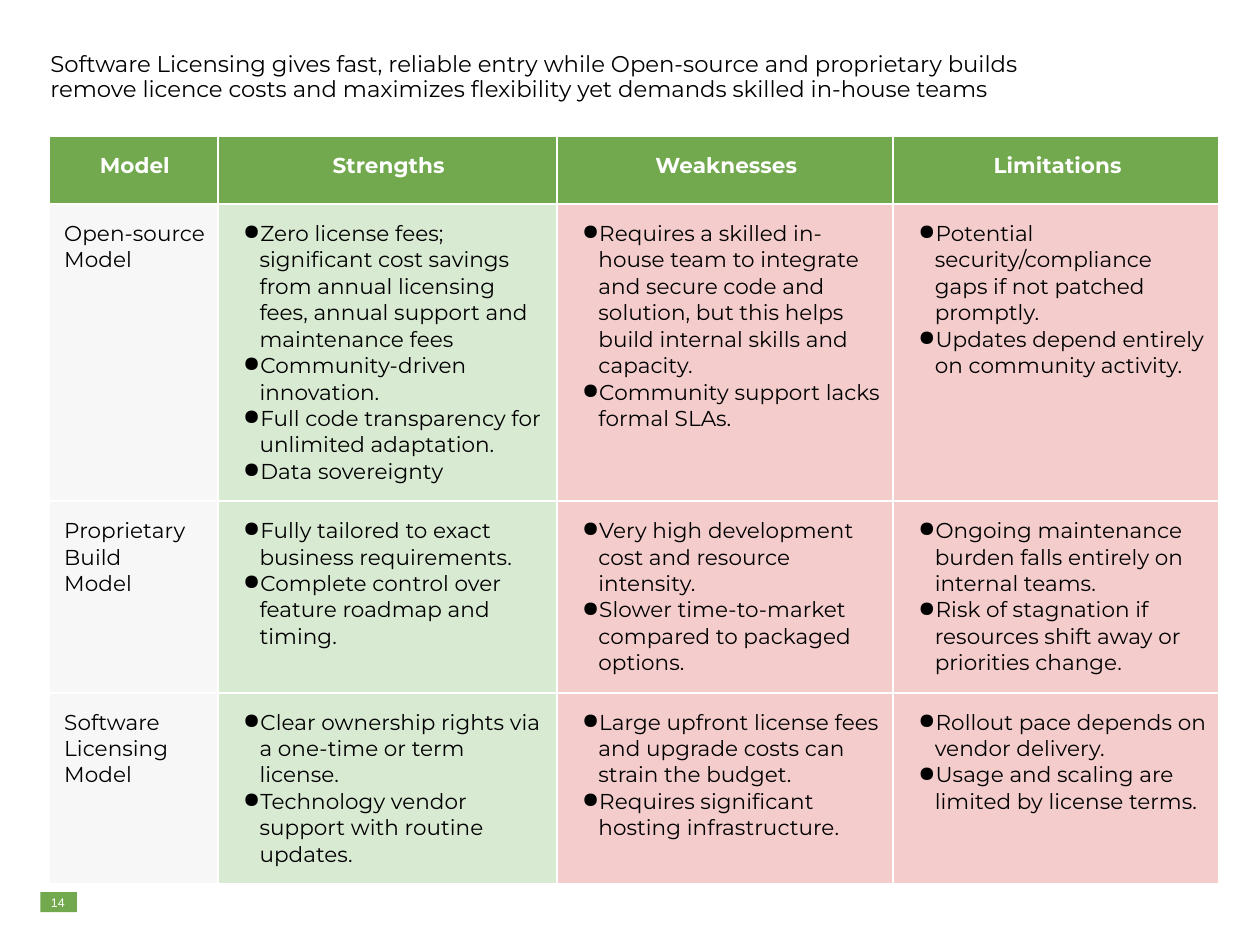
from lxml import etree
from pptx import Presentation, util as u
from pptx.dml.color import RGBColor
from pptx.enum import shapes, text
from pptx.oxml import ns

THEME = {
    "green": RGBColor.from_string("72A84E"),
    "label": RGBColor.from_string("EFEFEF"),
    "strength": RGBColor.from_string("D9EAD3"),
    "drawback": RGBColor.from_string("F4CCCC"),
    "ink": RGBColor.from_string("000000"),
    "paper": RGBColor.from_string("FFFFFF"),
    "font": "Montserrat", "number_font": "Arial",
    "title": 13, "body": 12.3, "number": 7.1,
}
COLUMNS = [1.34, 2.69, 2.67, 2.59]
ROWS = [0.54, 2.21, 1.43, 0.61, 0.9]
HEADINGS = ["Model", "Strengths", "Weaknesses", "Limitations"]
MODELS = [
    (["Open-source", "Model"],
     ["Zero license fees; significant cost savings from annual licensing fees, "
      "annual support and maintenance fees",
      "Community-driven innovation.",
      "Full code transparency for unlimited adaptation.",
      "Data sovereignty"],
     ["Requires a skilled in-house team to integrate and secure code and solution, "
      "but this helps build internal skills and capacity.",
      "Community support lacks formal SLAs."],
     ["Potential security/compliance gaps if not patched promptly.",
      "Updates depend entirely on community activity."]),
    (["Proprietary", "Build", "Model"],
     ["Fully tailored to exact business requirements.",
      "Complete control over feature roadmap and timing."],
     ["Very high development cost and resource intensity.",
      "Slower time-to-market compared to packaged options."],
     ["Ongoing maintenance burden falls entirely on internal teams.",
      "Risk of stagnation if resources shift away or priorities change."]),
    (["Software", "Licensing", "Model"],
     ["Clear ownership rights via a one-time or term license.",
      "Technology vendor support with routine updates."],
     ["Large upfront license fees and upgrade costs can strain the budget.",
      "Requires significant hosting infrastructure."],
     ["Rollout pace depends on vendor delivery.",
      "Usage and scaling are limited by license terms."]),
]


def add_element(parent, tag, **attributes):
    return etree.SubElement(parent, ns.qn(tag), attributes)


def set_font(paragraph, size, color, name=THEME["font"], bold=False):
    font = paragraph.font
    font.name, font.size, font.bold = name, u.Pt(size), bold
    font.color.rgb = color


deck = Presentation()
deck.slide_width, deck.slide_height = u.Inches(10), u.Inches(7.5)
slide = deck.slides.add_slide(deck.slide_layouts[6])

# Comparison table
comparison = slide.shapes.add_table(
    len(ROWS), len(COLUMNS), u.Inches(0.39), u.Inches(1.08),
    u.Inches(sum(COLUMNS)), u.Inches(sum(ROWS))).table
comparison.first_row = comparison.horz_banding = False
for column, width in zip(comparison.columns, COLUMNS):
    column.width = u.Inches(width)
for row, height in zip(comparison.rows, ROWS):
    row.height = u.Inches(height)

# The last model spans the two bottom rows
for c in range(len(COLUMNS)):
    comparison.cell(3, c).merge(comparison.cell(4, c))

column_fills = [THEME["label"], THEME["strength"], THEME["drawback"], THEME["drawback"]]
contents = [[[heading] for heading in HEADINGS], *MODELS, [[]] * len(COLUMNS)]
for r, row_content in enumerate(contents):
    for c, lines in enumerate(row_content):
        cell = comparison.cell(r, c)
        header, bulleted = r == 0, r > 0 and c > 0
        cell.margin_left = u.Inches(0.2 if bulleted else 0.12)
        cell.margin_right = u.Inches(0.1)
        cell.margin_top = cell.margin_bottom = u.Inches(0.13)

        properties = cell._tc.get_or_add_tcPr()
        for side in ("a:lnL", "a:lnR", "a:lnT", "a:lnB"):
            border = add_element(properties, side, w=str(u.Pt(1.5)))
            add_element(add_element(border, "a:solidFill"), "a:srgbClr", val=str(THEME["paper"]))
        cell.fill.solid()
        cell.fill.fore_color.rgb = THEME["green"] if header else column_fills[c]
        if c == 0 and not header:
            label_color = properties.find(ns.qn("a:solidFill")).find(ns.qn("a:srgbClr"))
            add_element(label_color, "a:alpha", val="47000")

        for i, line in enumerate(lines):
            frame = cell.text_frame
            paragraph = frame.add_paragraph() if i else frame.paragraphs[0]
            paragraph.text = line
            if header:
                paragraph.alignment = text.PP_ALIGN.CENTER
            else:
                layout = paragraph._p.get_or_add_pPr()
                layout.set("marL", str(u.Inches(0.13)))
                layout.set("indent", str(u.Inches(-0.22 if bulleted else -0.13)))
                if bulleted:
                    bullet_color = add_element(layout, "a:buClr")
                    add_element(bullet_color, "a:srgbClr", val=str(THEME["ink"]))
                    add_element(layout, "a:buChar", char="●")
            set_font(paragraph, THEME["body"], THEME["paper" if header else "ink"], bold=header)

# Page number
badge = slide.shapes.add_shape(
    shapes.MSO_SHAPE.RECTANGLE, u.Inches(0.32), u.Inches(7.08), u.Inches(0.29), u.Inches(0.16))
badge.shadow.inherit = False
badge.fill.solid()
badge.fill.fore_color.rgb = THEME["green"]
badge.line.fill.background()

number = slide.shapes.add_textbox(
    u.Inches(0.36), u.Inches(7.09), u.Inches(0.2), u.Inches(0.14)).text_frame
number.margin_left = number.margin_right = number.margin_top = number.margin_bottom = 0
number.word_wrap = True
number.vertical_anchor = text.MSO_ANCHOR.MIDDLE
number.text = "14"
number.paragraphs[0].alignment = text.PP_ALIGN.CENTER
set_font(number.paragraphs[0], THEME["number"], THEME["paper"], THEME["number_font"])

# Title
title = slide.shapes.add_textbox(
    u.Inches(0.36), u.Inches(0.23), u.Inches(8.39), u.Inches(0.77)).text_frame
title.margin_left = title.margin_right = u.Inches(0.04)
title.margin_top = title.margin_bottom = u.Inches(0.02)
title.word_wrap = True
title.vertical_anchor = text.MSO_ANCHOR.MIDDLE
title.text = ("Software Licensing gives fast, reliable entry while Open-source and proprietary "
              "builds remove licence costs and maximizes flexibility yet demands skilled "
              "in-house teams")
title.paragraphs[0].line_spacing = 0.9
set_font(title.paragraphs[0], THEME["title"], THEME["ink"])

deck.save("out.pptx")
